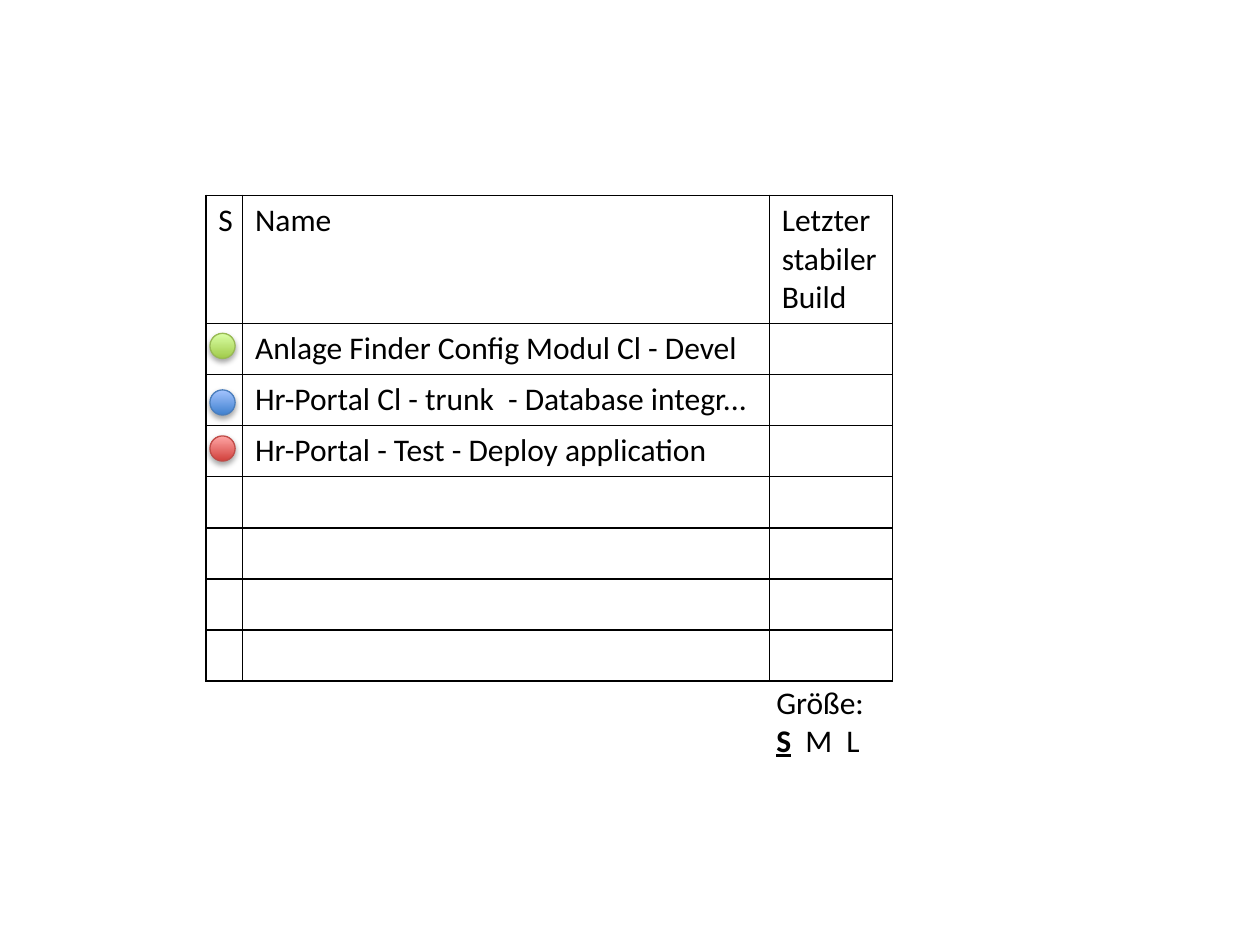
from lxml import etree
from pptx import Presentation
from pptx.dml.color import RGBColor
from pptx.enum import shapes
from pptx.oxml import ns
from pptx.util import Pt

BLACK = RGBColor(0x00, 0x00, 0x00)
GREEN = [RGBColor.from_string(c) for c in ("A0CA4A", "DAFFA5", "98B955")]
BLUE = [RGBColor.from_string(c) for c in ("3F80CE", "A4C4FF", "4B7EBC")]
RED = [RGBColor.from_string(c) for c in ("D1403C", "FFA6A5", "BF4C48")]
BODY_FONT = {"name": "Calibri", "size": Pt(18), "bold": False}
TABLE_LEFT, TABLE_TOP = 117.6, 111.6
COLUMN_WIDTHS = [21, 301, 70.5]
ROW_HEIGHTS = [73.2] + [29.2] * 7
NAMESPACE = 'xmlns:a="http://schemas.openxmlformats.org/drawingml/2006/main"'


def format_run(run, **extra):
    """Apply the body font and any extra font values to a run."""
    for name, value in {**BODY_FONT, **extra}.items():
        setattr(run.font, name, value)
    run.font.color.rgb = BLACK


def add_borders(cell):
    """Draw a thin black line on all four sides of a cell."""
    properties = cell._tc.get_or_add_tcPr()
    for index, side in enumerate("LRTB"):
        properties.insert(index, etree.fromstring(
            f'<a:ln{side} {NAMESPACE} w="12700"><a:solidFill>'
            f'<a:srgbClr val="{BLACK}"/></a:solidFill></a:ln{side}>'))


presentation = Presentation()
presentation.slide_width, presentation.slide_height = Pt(720), Pt(540)
slide = presentation.slides.add_slide(presentation.slide_layouts[6])

# Build table
rows = [
    ["S", "Name", "Letzter\nstabiler Build "],
    ["", "Anlage Finder Config Modul Cl - Devel", ""],
    ["", "Hr-Portal Cl - trunk  - Database integr...", ""],
    ["", "Hr-Portal - Test - Deploy application", ""],
] + [["", "", ""]] * 4
table = slide.shapes.add_table(
    len(rows), len(COLUMN_WIDTHS), Pt(TABLE_LEFT), Pt(TABLE_TOP),
    Pt(sum(COLUMN_WIDTHS)), Pt(sum(ROW_HEIGHTS))).table
table.first_row = table.horz_banding = False
for column, width in zip(table.columns, COLUMN_WIDTHS):
    column.width = Pt(width)
for row, height, texts in zip(table.rows, ROW_HEIGHTS, rows):
    row.height = Pt(height)
    for cell, content in zip(row.cells, texts):
        cell.fill.background()
        add_borders(cell)
        cell.text = content
        for paragraph in cell.text_frame.paragraphs:
            for run in paragraph.runs:
                format_run(run)

# Status lights
for top, (dark, light, outline) in zip((190.5, 222.8, 249.1), (GREEN, BLUE, RED)):
    status = slide.shapes.add_shape(
        shapes.MSO_SHAPE.OVAL, Pt(120), Pt(top), Pt(14.4), Pt(14.4))
    status.fill.gradient()
    status.fill.gradient_angle = 90
    for stop, color in zip(status.fill.gradient_stops, (dark, light)):
        stop.color.rgb = color
    status.line.color.rgb = outline
    status.line.width = Pt(0.75)
    status.shadow.inherit = False
    effects = status._element.spPr.find(ns.qn("a:effectLst"))
    effects.append(etree.fromstring(
        f'<a:outerShdw {NAMESPACE} blurRad="{Pt(3.15)}" dist="{Pt(1.8)}" '
        f'dir="5400000" rotWithShape="0"><a:srgbClr val="{BLACK}">'
        '<a:alpha val="35000"/></a:srgbClr></a:outerShdw>'))

# Size selector
selector = slide.shapes.add_textbox(Pt(436.5), Pt(386.6), Pt(74), Pt(51))
selector.text_frame.word_wrap = True
paragraph = selector.text_frame.paragraphs[0]
for content, selected in (("Größe: ", False), ("S", True), ("  M  L", False)):
    run = paragraph.add_run()
    run.text = content
    format_run(run, bold=selected, underline=selected)

presentation.save("out.pptx")
